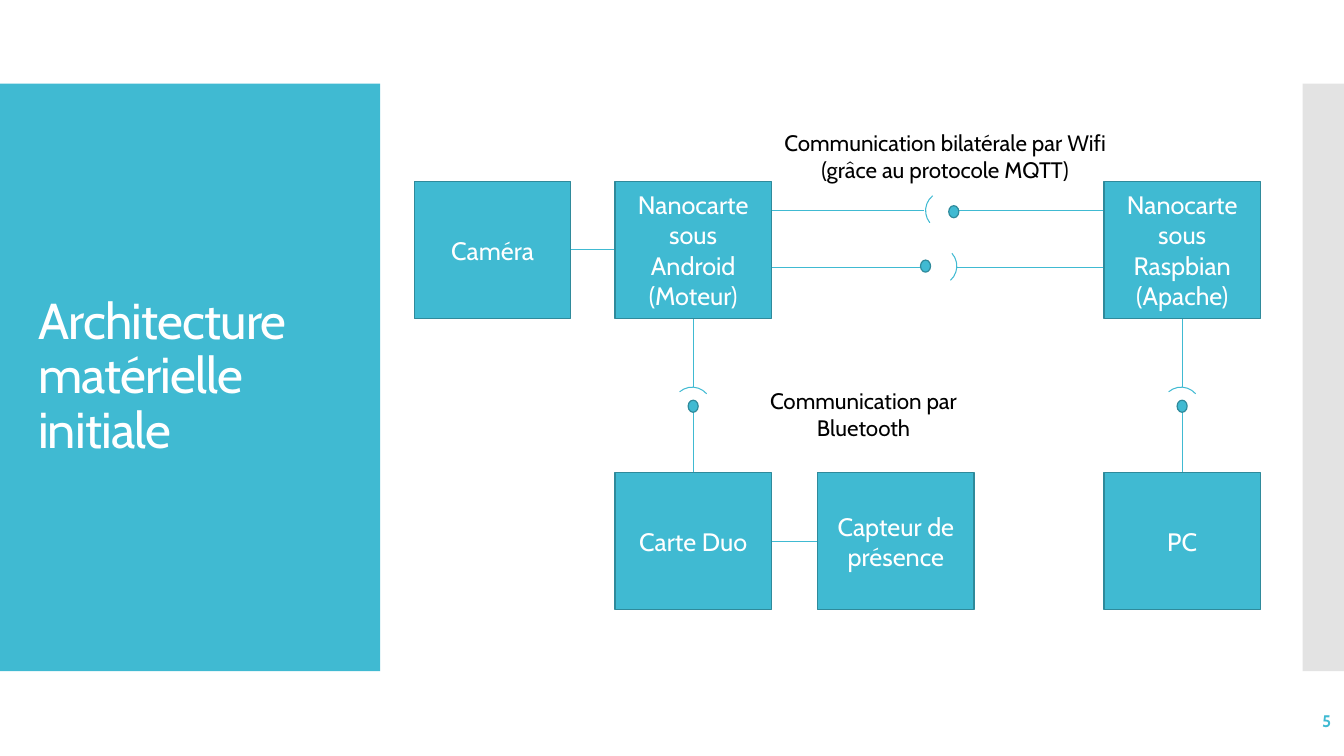
"""Build the hardware architecture slide."""
from lxml import etree
from pptx import Presentation
from pptx.dml.color import RGBColor
from pptx.enum.shapes import MSO_CONNECTOR, MSO_SHAPE
from pptx.enum.text import MSO_ANCHOR, PP_ALIGN
from pptx.oxml.ns import qn
from pptx.util import Inches, Pt

RECT, OVAL, ARC = MSO_SHAPE.RECTANGLE, MSO_SHAPE.OVAL, MSO_SHAPE.ARC
STRAIGHT = MSO_CONNECTOR.STRAIGHT
TOP, MIDDLE = MSO_ANCHOR.TOP, MSO_ANCHOR.MIDDLE
LEFT, CENTER, RIGHT = PP_ALIGN.LEFT, PP_ALIGN.CENTER, PP_ALIGN.RIGHT

FONT = "Cabin"
TEAL, EDGE, GREY, WHITE, BLACK = "40BAD2", "2F8A9B", "C8C8C8", "FFFFFF", "000000"
TITLE = "Architecture matérielle initiale"
PAGE_NUMBER = "5"

NODE_W, NODE_H = 1.55, 1.36
COLUMNS = {"camera": 4.11, "android": 6.1, "sensor": 8.11, "server": 10.95}
ROWS = {"upper": 1.8, "lower": 4.69}
NODES = [
    ("camera", "upper", ["Caméra"]),
    ("android", "upper", ["Nanocarte sous Android", "(Moteur)"]),
    ("server", "upper", ["Nanocarte sous Raspbian", "(Apache)"]),
    ("android", "lower", ["Carte Duo"]),
    ("sensor", "lower", ["Capteur de présence"]),
    ("server", "lower", ["PC"]),
]
LABELS = [
    ((7.54, 1.23, 3.67, 0.64), "Communication bilatérale par Wifi (grâce au protocole MQTT)"),
    ((7.06, 3.79, 3.01, 0.37), "Communication par Bluetooth"),
]
DIRECT_LINKS = [("camera", "android", "upper"), ("android", "sensor", "lower")]
WIFI_LINKS = [
    {"y": 2.09, "arc": (9.18, 1.9, 231.1), "ball": (9.41, 2.04)},
    {"y": 2.65, "arc": (9.11, 2.45, 48.1), "ball": (9.13, 2.58)},
]
WIFI_GAP = (9.16, 9.49)
VERTICAL_LINKS = ["android", "server"]
VERTICAL_GAP = (3.84, 4.09)
ARC_SIZE = 0.38
BALL_W, BALL_H = 0.1, 0.12


def color(code):
    """Turn a hex string into a colour."""
    return RGBColor.from_string(code)


def add_figure(page, kind, at, fill=None, line=None, width=0.85):
    """Add a preset shape with a plain fill and outline."""
    shape = page.shapes.add_shape(kind, *map(Inches, at))
    shape.shadow.inherit = False
    if fill:
        shape.fill.solid()
        shape.fill.fore_color.rgb = color(fill)
    else:
        shape.fill.background()
    if line:
        shape.line.color.rgb = color(line)
        shape.line.width = Pt(width)
    else:
        shape.line.fill.background()
    return shape


def add_line(page, x1, y1, x2, y2):
    """Add a thin straight connector."""
    line = page.shapes.add_connector(STRAIGHT, *map(Inches, (x1, y1, x2, y2)))
    line.line.color.rgb = color(TEAL)
    line.line.width = Pt(0.75)
    etree.SubElement(line.element.spPr, qn("a:effectLst"))


def write(shape, texts, size, ink, align=CENTER, anchor=MIDDLE, bold=False):
    """Write one paragraph per text and return the last one."""
    frame = shape.text_frame
    frame.word_wrap = True
    frame.vertical_anchor = anchor
    for index, text in enumerate(texts):
        para = frame.add_paragraph() if index else frame.paragraphs[0]
        para.alignment = align
        span = para.add_run()
        span.text = text
        span.font.name = FONT
        span.font.size = Pt(size)
        span.font.bold = bold
        span.font.color.rgb = color(ink)
    return para


def add_text(page, at, text, size, ink, **layout):
    """Add a wrapping text box with one paragraph."""
    box = page.shapes.add_textbox(*map(Inches, at))
    return write(box, [text], size, ink, **layout)


def add_joint(page, arc, ball):
    """Add a socket arc and the ball that faces it."""
    left, top, angle = arc
    socket = add_figure(page, ARC, (left, top, ARC_SIZE, ARC_SIZE), line=TEAL, width=0.75)
    socket.rotation = angle
    add_figure(page, OVAL, (*ball, BALL_W, BALL_H), TEAL, EDGE)


def add_frame(page):
    """Add the side panels, the title and the page number."""
    add_figure(page, RECT, (0, 0.83, 3.77, 5.83), TEAL)
    strip = add_figure(page, RECT, (12.92, 0.83, 0.42, 5.83), GREY)
    tint = strip.element.spPr.find(f".//{qn('a:srgbClr')}")
    etree.SubElement(tint, qn("a:alpha"), val="50000")
    title = add_text(page, (0.28, 1.23, 3.22, 5.03), TITLE, 36, WHITE,
                     align=LEFT, anchor=MIDDLE)
    title.line_spacing = 0.9
    title.runs[0].font._element.set("spc", "-60")
    add_text(page, (11.63, 6.95, 1.67, 0.4), PAGE_NUMBER, 12, TEAL,
             align=RIGHT, bold=True)


def add_links(page):
    """Add the connections between the nodes."""
    for start, end, row in DIRECT_LINKS:
        y = ROWS[row] + NODE_H / 2
        add_line(page, COLUMNS[start] + NODE_W, y, COLUMNS[end], y)
    for link in WIFI_LINKS:
        y = link["y"]
        add_line(page, COLUMNS["android"] + NODE_W, y, WIFI_GAP[0], y)
        add_line(page, WIFI_GAP[1], y, COLUMNS["server"], y)
        add_joint(page, link["arc"], link["ball"])
    socket_y, plug_y = VERTICAL_GAP
    for column in VERTICAL_LINKS:
        x = COLUMNS[column] + NODE_W / 2
        add_line(page, x, ROWS["upper"] + NODE_H, x, socket_y)
        add_line(page, x, plug_y, x, ROWS["lower"])
        add_joint(page, (x - 0.2, socket_y, 319), (x - BALL_W / 2, 3.97))


def main():
    """Build and save the deck."""
    deck = Presentation()
    deck.slide_width, deck.slide_height = Inches(13.33), Inches(7.5)
    page = deck.slides.add_slide(deck.slide_layouts[6])
    add_frame(page)
    add_links(page)
    for column, row, texts in NODES:
        node = add_figure(page, RECT, (COLUMNS[column], ROWS[row], NODE_W, NODE_H), TEAL, EDGE)
        write(node, texts, 18, WHITE)
    for at, text in LABELS:
        add_text(page, at, text, 16, BLACK, anchor=TOP)
    deck.save("out.pptx")


if __name__ == "__main__":
    main()
